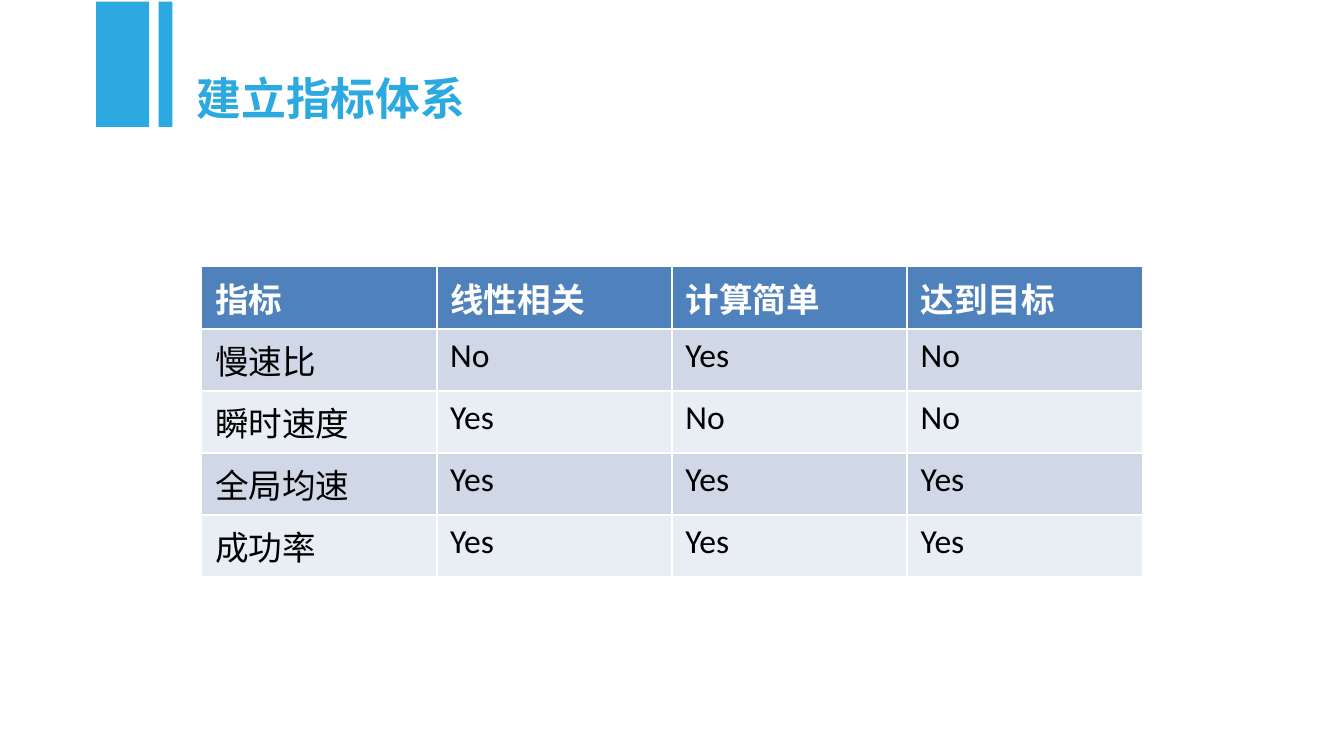
from lxml import etree
from pptx import Presentation, util as u
from pptx.dml.color import RGBColor
from pptx.enum import shapes, text
from pptx.oxml.ns import qn

SKY = RGBColor(0x2D, 0xA9, 0xE1)
HEADER = RGBColor(0x4F, 0x81, 0xBD)
BAND_DARK = RGBColor(0xD0, 0xD8, 0xE8)
BAND_LIGHT = RGBColor(0xE9, 0xED, 0xF4)
WHITE = RGBColor(0xFF, 0xFF, 0xFF)
BLACK = RGBColor(0, 0, 0)
CJK_FONT = "Noto Sans CJK SC"

presentation = Presentation()
presentation.slide_width = u.Cm(25.4)
presentation.slide_height = u.Cm(14.29)
slide = presentation.slides.add_slide(presentation.slide_layouts[5])

for left, width in ((1.82, 1), (3, 0.26)):
    bar = slide.shapes.add_shape(
        shapes.MSO_SHAPE.RECTANGLE, u.Cm(left), u.Cm(0.03), u.Cm(width), u.Cm(2.37))
    bar.shadow.inherit = False
    bar.fill.solid()
    bar.fill.fore_color.rgb = SKY
    bar.line.fill.background()

title = slide.shapes.title
title.left, title.top = u.Cm(3.46), u.Cm(1.2)
title.width, title.height = u.Cm(13.48), u.Cm(1.28)
frame = title.text_frame
frame.text = "建立指标体系"
frame.word_wrap = True
frame.auto_size = text.MSO_AUTO_SIZE.NONE
frame.vertical_anchor = text.MSO_ANCHOR.MIDDLE
paragraph = frame.paragraphs[0]
paragraph.alignment = text.PP_ALIGN.LEFT
run = paragraph.runs[0]
run.font.name = CJK_FONT
run.font.size = u.Pt(24)
run.font.bold = True
run.font.color.rgb = SKY
latin = run.font._element.find(qn("a:latin"))
latin.addnext(etree.Element(qn("a:ea"), typeface=CJK_FONT))

rows = [
    ("指标", "线性相关", "计算简单", "达到目标"),
    ("慢速比", "No", "Yes", "No"),
    ("瞬时速度", "Yes", "No", "No"),
    ("全局均速", "Yes", "Yes", "Yes"),
    ("成功率", "Yes", "Yes", "Yes"),
]
table = slide.shapes.add_table(
    len(rows), len(rows[0]), u.Cm(3.81), u.Cm(5.04), u.Cm(17.78), u.Cm(5.3)).table
for row_index, values in enumerate(rows):
    is_header = row_index == 0
    band = BAND_DARK if row_index % 2 else BAND_LIGHT
    for column_index, value in enumerate(values):
        cell = table.cell(row_index, column_index)
        cell.text = value
        cell.fill.solid()
        cell.fill.fore_color.rgb = HEADER if is_header else band
        font = cell.text_frame.paragraphs[0].font
        font.name = "Calibri"
        font.size = u.Pt(18)
        font.bold = is_header
        font.color.rgb = WHITE if is_header else BLACK

presentation.save("out.pptx")
